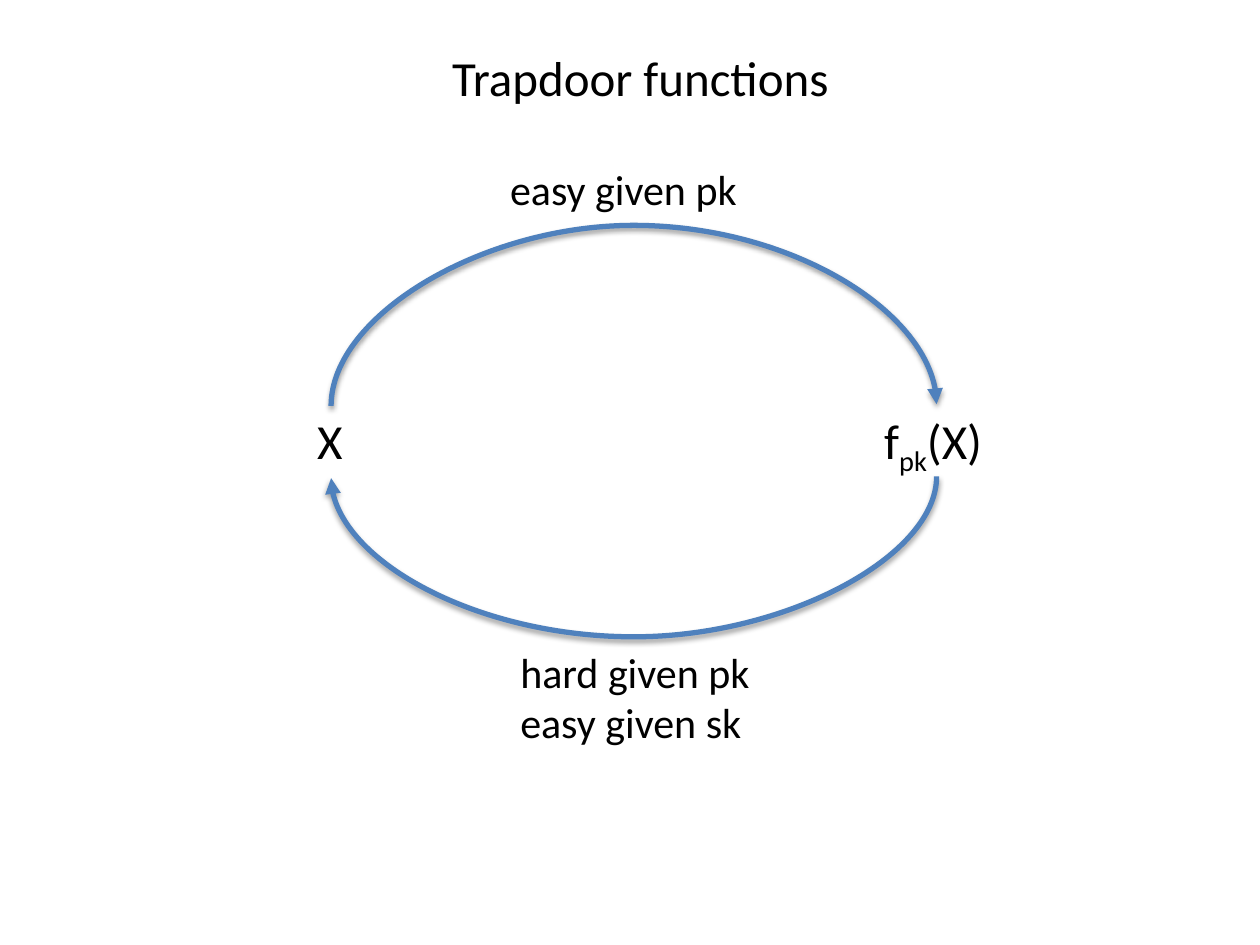
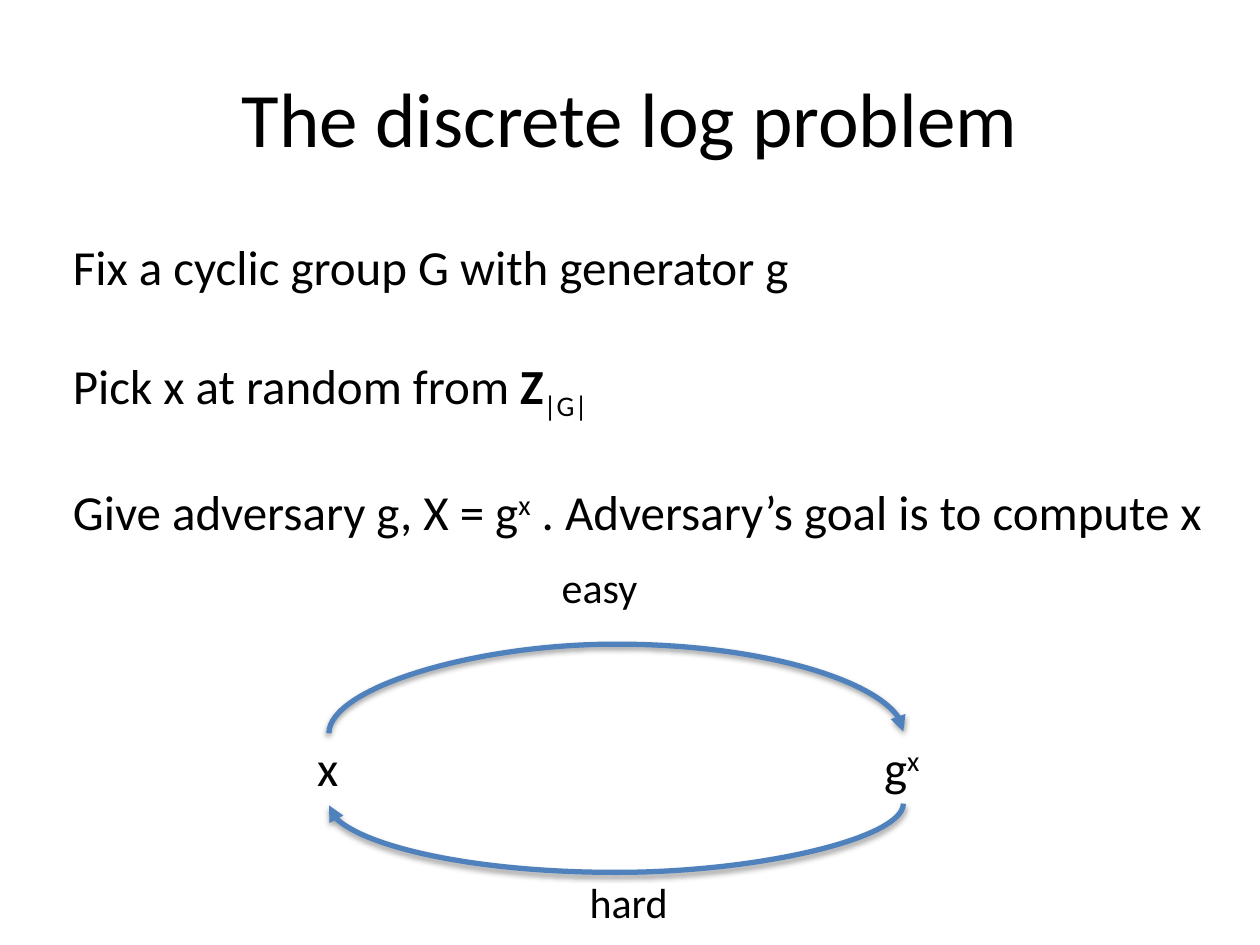
from lxml import etree
from pptx import Presentation
from pptx.dml.color import RGBColor
from pptx.enum import shapes, text
from pptx.oxml import parse_xml
from pptx.oxml.ns import nsdecls
from pptx.util import Pt

COLORS = {"text": "000000", "arc": "4F81BD", "shadow": "000000"}
FONT = "Calibri"
LABEL, BODY, TITLE = 24, 28, 44
SUB, SUP = -25, 30
ARC_DROP = 1       # height difference between the two ends of an arc
ARC_GAP = 41.2     # from the upper arc's ends to the lower arc's ends
NODE_LEFT, NODE_RIGHT = 174.2, 498.2
SHADOW = f"""<a:effectLst {nsdecls("a")}>
  <a:outerShdw blurRad="{Pt(3.1)}" dist="{Pt(1.6)}" dir="5400000" rotWithShape="0">
    <a:srgbClr val="{COLORS["shadow"]}"><a:alpha val="38000"/></a:srgbClr>
  </a:outerShdw>
</a:effectLst>"""


class Deck:
    def __init__(self, width, height):
        self.prs = Presentation()
        self.prs.slide_width, self.prs.slide_height = Pt(width), Pt(height)
        self.slide = None

    def new_slide(self):
        self.slide = self.prs.slides.add_slide(self.prs.slide_layouts[6])

    def run(self, p, words, size, baseline=0, bold=False):
        r = p.add_run()
        r.text = words
        r.font.name, r.font.size, r.font.bold = FONT, Pt(size), bold
        r.font.color.rgb = RGBColor.from_string(COLORS["text"])
        if baseline:
            r._r.get_or_add_rPr().set("baseline", str(baseline * 1000))

    def text(self, box, paragraphs, size=BODY, gap=0):
        """Each paragraph is a list of runs: (words, baseline, bold)."""
        sp = self.slide.shapes.add_textbox(*map(Pt, box))
        tf = sp.text_frame
        tf.word_wrap = False
        tf.auto_size = text.MSO_AUTO_SIZE.SHAPE_TO_FIT_TEXT
        for i, runs in enumerate(paragraphs):
            p = tf.add_paragraph() if i else tf.paragraphs[0]
            p.space_before = Pt(gap if i else 0)
            for words, *style in runs:
                self.run(p, words, size, *style)
        return tf

    def title(self, words):
        tf = self.text((36, 21.6, 648, 90), [[(words,)]], TITLE)
        tf.auto_size = text.MSO_AUTO_SIZE.NONE
        tf.word_wrap = True
        tf.vertical_anchor = text.MSO_ANCHOR.MIDDLE
        tf.paragraphs[0].alignment = text.PP_ALIGN.CENTER

    def arc(self, left, right, y, bulge, upper):
        """Curved arrow: left to right over the top, or right to left below."""
        span = right - left
        x0, y0 = (left + right - ARC_DROP) / 2, y + (ARC_DROP - span) / 2
        ends = [(x0, y0), (x0 + ARC_DROP, y0 + span)]
        if upper:
            ends.reverse()
        c = self.slide.shapes.add_connector(
            shapes.MSO_CONNECTOR.CURVE, *(Pt(v) for end in ends for v in end))
        c.line.color.rgb = RGBColor.from_string(COLORS["arc"])
        c.line.width = Pt(3)
        spPr = c._element.spPr
        spPr.xfrm.set("rot", "5400000")
        guides = spPr.prstGeom.get_or_add_avLst()
        etree.SubElement(guides, guides.tag.replace("avLst", "gd"), name="adj1",
                         fmla=f"val {round(bulge / ARC_DROP * 100000)}")
        ln = c.line._get_or_add_ln()
        etree.SubElement(ln, ln.tag.replace("}ln", "}tailEnd"), type="triangle")
        spPr.append(parse_xml(SHADOW))

    def cycle(self, y, nodes, widths, arc_ends, bulges):
        """Two nodes at height y, joined by an arc each way."""
        for left, runs, width in zip((NODE_LEFT, NODE_RIGHT), nodes, widths):
            self.text((left, y, width, 41), [runs])
        self.arc(*arc_ends, y, bulges[0], upper=True)
        self.arc(*arc_ends, y + ARC_GAP, bulges[1], upper=False)


def trapdoor_functions(deck):
    deck.new_slide()
    deck.cycle(231, ([("X",)], [("f",), ("pk", SUB), ("(X)",)]), (29.5, 73.4),
               (189.2, 535.2), (104, 92.4))
    deck.text((284.4, 90, 146.2, 36), [[("easy given pk",)]], LABEL)
    deck.text((290.2, 365.8, 147.6, 65.5),
              [[("hard given pk",)], [("easy given sk",)]], LABEL)
    deck.text((251.3, 23.8, 234.7, 41), [[("Trapdoor functions",)]])


def discrete_log(deck):
    deck.new_slide()
    deck.cycle(418, ([("x",)], [("g",), ("x", SUP)]), (26.6, 36),
               (188, 516.2), (51.3, 39.6))
    deck.text((313.9, 317.5, 59, 36), [[("easy",)]], LABEL)
    deck.text((329.8, 497.5, 59.8, 36), [[("hard",)]], LABEL)
    deck.title("The discrete log problem")
    deck.text((34.6, 131.8, 671, 177), [
        [("Fix a cyclic group G with generator g",)],
        [("Pick x at random from ",), ("Z", 0, True), ("|G|", SUB)],
        [("Give adversary g, X = g",), ("x", SUP),
         (" . Adversary’s goal is to compute x",)],
    ], gap=34)


def main():
    deck = Deck(720, 540)
    trapdoor_functions(deck)
    discrete_log(deck)
    deck.prs.save("out.pptx")


if __name__ == "__main__":
    main()
